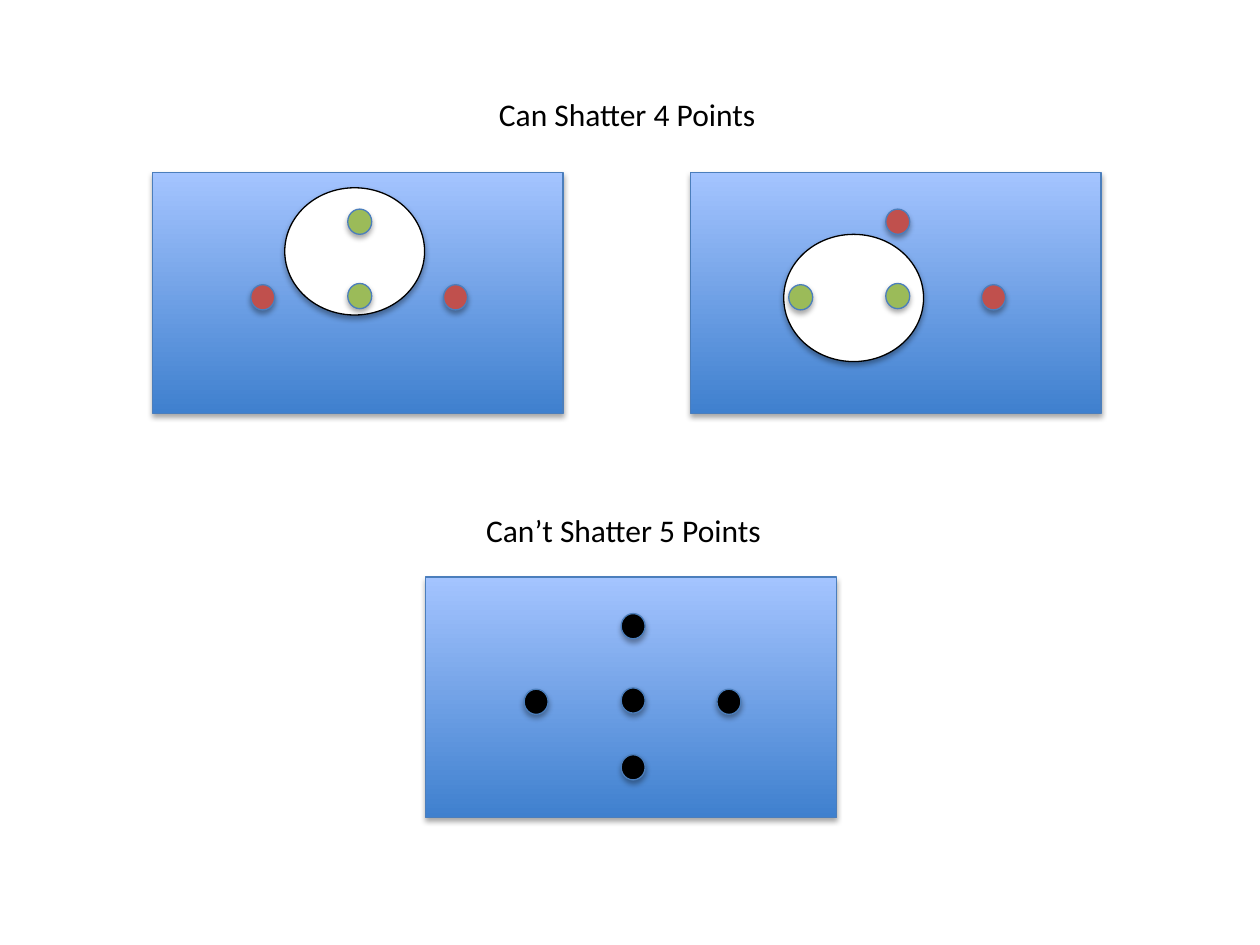
import dataclasses
import typing

import pptx
import pptx.dml.color
import pptx.enum.shapes
import pptx.enum.text
import pptx.oxml
import pptx.oxml.ns
import pptx.util

Inches = pptx.util.Inches
Kind = pptx.enum.shapes.MSO_SHAPE

BLUE, GREEN, RED = "4B7EBC", "9BBB59", "C0504D"
BLACK, WHITE = "000000", "FFFFFF"
DARK, LIGHT = "3F80CE", "A4C4FF"

PANEL = (3.26, 1.91)
RING = (1.11, 1.01)
DOT = (0.19, 0.2)

# Dot offsets within a panel
TOP, MID, LOW = (1.55, 0.29), (1.55, 0.88), (1.55, 1.41)
WEST, EAST = (0.78, 0.89), (2.31, 0.89)

SHADOW = (
    '<a:outerShdw %s blurRad="40000" dist="23000" dir="5400000" rotWithShape="0">'
    '<a:srgbClr val="000000"><a:alpha val="35000"/></a:srgbClr></a:outerShdw>'
    % pptx.oxml.ns.nsdecls("a")
)

Point = tuple[float, float]


@dataclasses.dataclass
class Panel:
    at: Point
    dots: dict[Point, str]
    ring: typing.Optional[Point] = None


@dataclasses.dataclass
class Label:
    text: str
    at: Point
    size: Point


PANELS = [
    Panel((5.48, 1.37), {WEST: GREEN, EAST: RED, TOP: RED, MID: GREEN}, (0.74, 0.49)),
    Panel((1.21, 1.37), {WEST: RED, EAST: RED, TOP: GREEN, MID: GREEN}, (1.05, 0.12)),
    Panel((3.38, 4.58), dict.fromkeys((WEST, EAST, TOP, MID, LOW), BLACK)),
]
HEAD = Label("Can Shatter 4 Points", (3.86, 0.7), (2.27, 0.4))
NOTE = Label("Can’t Shatter 5 Points", (3.76, 4.01), (2.42, 0.4))


def color(code: str) -> pptx.dml.color.RGBColor:
    return pptx.dml.color.RGBColor.from_string(code)


def box(at: Point, size: Point) -> list[int]:
    return [Inches(n) for n in (*at, *size)]


def shift(base: Point, by: Point) -> Point:
    return base[0] + by[0], base[1] + by[1]


def draw(slide, kind, at: Point, size: Point, fill: str = "", line: str = BLUE) -> None:
    """Add a shadowed shape; without a fill colour it gets the blue gradient."""
    shape = slide.shapes.add_shape(kind, *box(at, size))
    if fill:
        shape.fill.solid()
        shape.fill.fore_color.rgb = color(fill)
    else:
        shape.fill.gradient()
        shape.fill.gradient_angle = 90
        for stop, code in zip(shape.fill.gradient_stops, (DARK, LIGHT)):
            stop.color.rgb = color(code)
    shape.line.color.rgb = color(line)
    shape.line.width = pptx.util.Pt(0.75)
    shape.shadow.inherit = False
    effects = shape._element.spPr.find(pptx.oxml.ns.qn("a:effectLst"))
    effects.append(pptx.oxml.parse_xml(SHADOW))


def show(slide, panel: Panel) -> None:
    draw(slide, Kind.RECTANGLE, panel.at, PANEL)
    if panel.ring:
        draw(slide, Kind.OVAL, shift(panel.at, panel.ring), RING, WHITE, BLACK)
    for spot, fill in panel.dots.items():
        draw(slide, Kind.OVAL, shift(panel.at, spot), DOT, fill)


def write(shape, label: Label) -> None:
    shape.left, shape.top, shape.width, shape.height = box(label.at, label.size)
    frame = shape.text_frame
    frame.text = label.text
    frame.word_wrap = False
    frame.auto_size = pptx.enum.text.MSO_AUTO_SIZE.SHAPE_TO_FIT_TEXT
    frame.vertical_anchor = pptx.enum.text.MSO_ANCHOR.TOP
    para = frame.paragraphs[0]
    para.alignment = pptx.enum.text.PP_ALIGN.LEFT
    font = para.runs[0].font
    font.name = "Calibri"
    font.size = pptx.util.Pt(18)
    font.color.rgb = color(BLACK)


def main() -> None:
    deck = pptx.Presentation()
    deck.slide_width, deck.slide_height = Inches(10), Inches(7.5)
    slide = deck.slides.add_slide(deck.slide_layouts[5])
    write(slide.shapes.title, HEAD)
    for panel in PANELS:
        show(slide, panel)
    write(slide.shapes.add_textbox(*box(NOTE.at, NOTE.size)), NOTE)
    deck.save("out.pptx")


if __name__ == "__main__":
    main()
